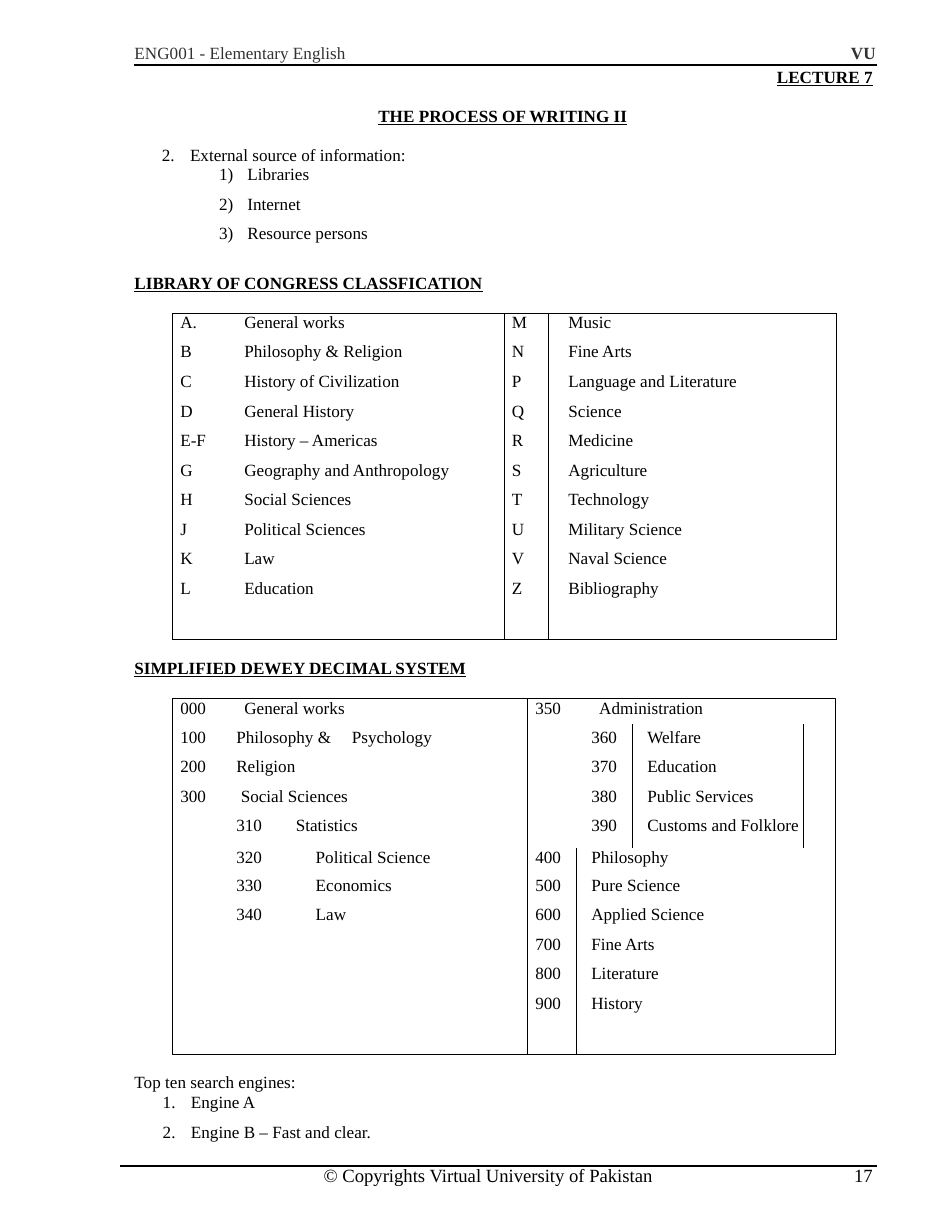
from lxml import etree
from pptx import Presentation
from pptx import util as u
from pptx.dml import color
from pptx.enum import shapes, text
from pptx.oxml import ns

Cm, Pt = u.Cm, u.Pt
BLACK, GREY = "000000", "323232"
NO_GRID = "{2D5ABB26-0587-4C30-8999-92F81FD0307C}"


def rgb(code):
    return color.RGBColor.from_string(code)


def add(node, tag, **attrs):
    return etree.SubElement(node, ns.qn(tag), attrs)


class Page:
    """Holds the text style and the slide that is being filled."""
    face, size, gap = "Times New Roman", 11, 5.8

    def __init__(self, slide):
        self.slide = slide

    def font(self, para, size=None, ink=BLACK, bold=False, line=False):
        font = para.font
        font.name, font.size = self.face, Pt(size or self.size)
        font.bold, font.underline = bold, line
        font.color.rgb = rgb(ink)

    def tab(self, para, stop):
        stops = add(para._p.get_or_add_pPr(), "a:tabLst")
        add(stops, "a:tab", pos=str(Cm(stop)), algn="l")

    def frame(self, shape, place, top=0.03):
        shape.left, shape.top, shape.width, shape.height = map(Cm, place)
        box = shape.text_frame
        box.word_wrap = True
        box.auto_size = text.MSO_AUTO_SIZE.NONE
        box.vertical_anchor = text.MSO_ANCHOR.TOP
        box.margin_left = box.margin_right = box.margin_bottom = 0
        box.margin_top = Cm(top)
        return box

    def label(self, words, place, shape=None, stop=None, **style):
        shape = shape or self.slide.shapes.add_textbox(0, 0, 0, 0)
        para = self.frame(shape, place).paragraphs[0]
        para.text, para.alignment = words, text.PP_ALIGN.LEFT
        if stop:
            self.tab(para, stop)
        self.font(para, **style)

    def items(self, shape, place, words, kind, left, head=None, top=0.03):
        """Numbered list, under an unnumbered head line if one is given."""
        box = self.frame(shape, place, top)
        lines = ([head] if head else []) + words
        for i, line in enumerate(lines):
            para = box.paragraphs[0] if i == 0 else box.add_paragraph()
            para.text = line
            first = i == 0 or (head and i == 1)
            para.space_before = Pt(0 if first else self.gap)
            if head and first:
                para.line_spacing = Pt(12.9)
            plain = head and i == 0
            props = para._p.get_or_add_pPr()
            props.set("marL", str(Cm(0 if plain else left)))
            props.set("indent", str(Cm(0 if plain else -0.64)))
            if plain:
                add(props, "a:buNone")
            else:
                add(props, "a:buAutoNum", type=kind)
            self.font(para)

    def rule(self, left, right, y):
        line = self.slide.shapes.add_connector(
            shapes.MSO_CONNECTOR.STRAIGHT, Cm(left), Cm(y), Cm(right), Cm(y))
        line.line.color.rgb, line.line.width = rgb(BLACK), Pt(1.5)
        add(line.element.spPr, "a:effectLst")

    def box(self, place):
        shape = self.slide.shapes.add_shape(
            shapes.MSO_SHAPE.RECTANGLE, *map(Cm, place))
        shape.shadow.inherit = False
        shape.fill.background()
        shape.line.color.rgb, shape.line.width = rgb(BLACK), Pt(0.5)

    def table(self, left, top, cols, tall, rows, flush, edges):
        """Rows hold (column, span, indent, words, tab stop); flush rows have
        no top margin; edges(row, column) names the sides that are drawn."""
        frame = self.slide.shapes.add_table(
            len(tall), len(cols), Cm(left), Cm(top), Cm(sum(cols)), Cm(sum(tall)))
        for node in frame.element.iter(ns.qn("a:tableStyleId")):
            node.text = NO_GRID
        grid = frame.table
        grid.first_row = grid.horz_banding = False
        for col, wide in zip(grid.columns, cols):
            col.width = Cm(wide)
        stops = {}
        for r, row in enumerate(rows):
            grid.rows[r].height = Cm(tall[r])
            for c, span, pad, words, *stop in row:
                cell = grid.cell(r, c)
                if span > 1:
                    cell.merge(grid.cell(r, c + span - 1))
                cell.text = words
                stops[r, c] = pad, (stop or [1.45])[0]
        for r in range(len(tall)):
            for c in range(len(cols)):
                cell = grid.cell(r, c)
                pad, stop = stops.get((r, c), (0, 0))
                cell.margin_left = Cm(pad)
                cell.margin_right = cell.margin_bottom = 0
                cell.margin_top = Cm(0 if r in flush else 0.08)
                para = cell.text_frame.paragraphs[0]
                if "\t" in cell.text:
                    self.tab(para, stop)
                self.font(para)
                cell.fill.background()
                for i, side in enumerate(edges(r, c)):
                    self.edge(cell, side, i)

    def edge(self, cell, side, spot):
        line = etree.Element(ns.qn("a:ln" + side), w=str(Pt(0.5)))
        add(add(line, "a:solidFill"), "a:srgbClr", val=BLACK)
        cell._tc.get_or_add_tcPr().insert(spot, line)


def congress(page):
    left = [("A.", "General works"), ("B", "Philosophy & Religion"),
            ("C", "History of Civilization"), ("D", "General History"),
            ("E-F", "History – Americas"), ("G", "Geography and Anthropology"),
            ("H", "Social Sciences"), ("J", "Political Sciences"),
            ("K", "Law"), ("L", "Education")]
    right = [("M", "Music"), ("N", "Fine Arts"), ("P", "Language and Literature"),
             ("Q", "Science"), ("R", "Medicine"), ("S", "Agriculture"),
             ("T", "Technology"), ("U", "Military Science"),
             ("V", "Naval Science"), ("Z", "Bibliography")]
    rows = [[(0, 1, 0.18, "\t".join(a)), (1, 1, 0.18, key), (2, 1, 0.46, name)]
            for a, (key, name) in zip(left, right)]
    last = len(rows) - 1

    def edges(r, c):
        return ("L" + "R" * (c == 2) + "T" * (r == 0) + "B" * (r == last))

    page.table(3.91, 7.11, [7.52, 1, 6.53], [0.58] + [0.67] * 8 + [1.45],
               rows, {0}, edges)


def dewey(page):
    left = [[(0, 3, 0.18, "000\tGeneral works")],
            [(0, 1, 0.18, "100"), (1, 2, 0.08, "Philosophy &\tPsychology", 2.62)],
            [(0, 1, 0.18, "200"), (1, 2, 0.08, "Religion")],
            [(0, 1, 0.18, "300"), (1, 2, 0.18, "Social Sciences")],
            [(1, 2, 0.08, "310\tStatistics", 1.35)]]
    left += [[(0, 2, 1.45, key), (2, 1, 0.33, name)] for key, name in
             [("320", "Political Science"), ("330", "Economics"), ("340", "Law")]]
    left += [[(0, 2, 0, "")]] * 3
    right = [[(3, 3, 0.18, "350\tAdministration")]]
    right += [[(3, 2, 1.45, key), (5, 1, 0.33, name)] for key, name in
              [("360", "Welfare"), ("370", "Education"),
               ("380", "Public Services"), ("390", "Customs and Folklore")]]
    right += [[(3, 1, 0.18, key), (4, 2, 0.33, name)] for key, name in
              [("400", "Philosophy"), ("500", "Pure Science"),
               ("600", "Applied Science"), ("700", "Fine Arts"),
               ("800", "Literature"), ("900", "History")]]

    def edges(r, c):
        inner = (c == 5 and 1 <= r <= 4) or (c == 4 and r >= 5)
        return "L" if c == 3 or inner else ""

    page.table(3.91, 15.85, [1.37, 1.02, 5.13, 1.12, 1.27, 3.86],
               [0.58] + [0.67] * 3 + [0.79, 0.55] + [0.67] * 4 + [1.45],
               [a + b for a, b in zip(left, right)], {0, 5}, edges)
    page.box((3.91, 15.85, 15.04, 8.06))


def main():
    deck = Presentation()
    deck.slide_width, deck.slide_height = Cm(21.59), Cm(27.94)
    slide = deck.slides.add_slide(deck.slide_layouts[3])
    title, source, search = slide.placeholders
    page = Page(slide)
    head = dict(bold=True, line=True)

    page.label("ENG001 - Elementary English", (3.05, 0.94, 5.2, 0.53), ink=GREY)
    page.label("VU", (19.3, 0.94, 0.8, 0.53), ink=GREY, bold=True)
    page.rule(3.05, 19.88, 1.48)
    page.label("LECTURE 7", (17.62, 1.47, 2.5, 0.53), **head)
    page.label("THE PROCESS OF WRITING II", (8.58, 2.36, 6, 0.53), title, **head)
    page.label("2.\tExternal source of information:", (3.67, 3.25, 5.8, 0.53),
               stop=0.64)
    page.items(source, (4.95, 3.48, 3.6, 2.08),
               ["Libraries", "Internet", "Resource persons"],
               "arabicParenR", 0.66, top=0.23)
    page.label("LIBRARY OF CONGRESS CLASSFICATION", (3.05, 6.15, 8.3, 0.53), **head)
    congress(page)
    page.label("SIMPLIFIED DEWEY DECIMAL SYSTEM", (3.05, 14.88, 8, 0.53), **head)
    dewey(page)
    page.items(search, (3.05, 24.28, 5.8, 1.65),
               ["Engine A", "Engine B – Fast and clear."],
               "arabicPeriod", 1.28, head="Top ten search engines:")
    page.rule(2.72, 19.88, 26.44)
    page.label("© Copyrights Virtual University of Pakistan",
               (7.34, 26.37, 7.9, 0.58), size=12)
    page.label("17", (19.37, 26.37, 0.6, 0.58), size=12)
    deck.save("out.pptx")


if __name__ == "__main__":
    main()
